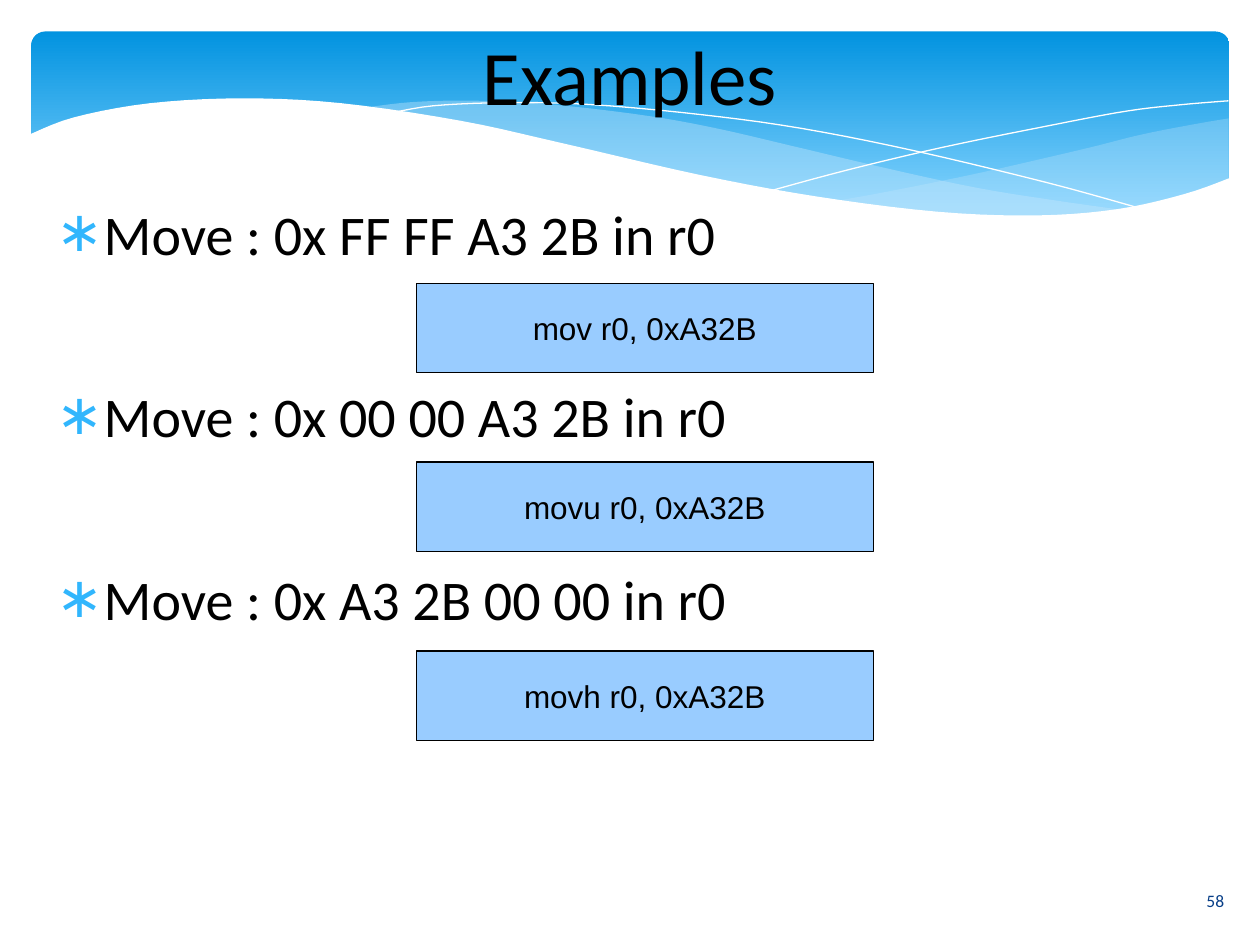
"""Build a slide of three move-instruction examples under a wave banner."""
from lxml.etree import SubElement
from pptx import Presentation
from pptx.dml.color import RGBColor
from pptx.enum.shapes import MSO_SHAPE
from pptx.enum.text import MSO_ANCHOR, PP_ALIGN
from pptx.oxml.ns import qn
from pptx.util import Pt

TITLE = "Examples"
PAGE_NUMBER = "58"
EXAMPLES = [
    ("Move : 0x FF FF A3 2B in r0", "mov r0, 0xA32B", 162),
    ("Move : 0x 00 00 A3 2B in r0", "movu r0, 0xA32B", 264),
    ("Move : 0x A3 2B 00 00 in r0", "movh r0, 0xA32B", 372),
]
RIGHT_WAVE = [
    [(702, 67.7), (682.6, 71), (652, 77), (620, 85), (561, 98.6), (508, 109.4), (476, 115.2)],
    [(476, 115.2), (517.7, 121), (562, 123.8), (593, 123.8), (634, 120.5), (673, 112.3),
     (702, 102.2)],
]
MIDDLE_WAVE = [
    [(643, 120.2), (602.6, 114.5), (558, 107.3), (508, 96.5), (453, 83.5), (409.7, 73.4),
     (370, 66.2), (318, 60), (273.6, 57.6), (236, 58.3), (206, 61.9)],
    [(206, 61.9), (246, 67.7), (291, 76.3), (353.5, 90.7), (407.5, 103), (456.5, 112.3),
     (500.4, 118.8), (547.9, 123.1), (589, 124.6), (623.5, 122.8), (643, 120.2)],
]
FALLING_LINE = [
    [(222.5, 64.8), (247.7, 60.5), (288.7, 58.7), (337.7, 59.8), (400.3, 65.5), (457.9, 73.4),
     (523.4, 86.4), (598.3, 104.4), (653, 119.5)],
]
RISING_LINE = [
    [(441.4, 108.7), (484, 97.2), (538.6, 84.2), (602, 71.3), (644.4, 63.4), (675.4, 59.8),
     (702, 57.6)],
]
WHITE_WAVE = [
    [(16.6, 77), (42.5, 67), (85.7, 59), (139, 56.2), (195, 59), (263, 69), (322, 82),
     (400, 100), (466.6, 112.3), (535.7, 121), (592.6, 123.1), (638.6, 119.5),
     (676.8, 110.9), (703.4, 101.5)],
    [(703.4, 161.3), (16.6, 161.3)],
]
WAVES = [
    (RIGHT_WAVE, {"fill": "C6E7FC", "opacity": 29}),
    (MIDDLE_WAVE, {"fill": "C6E7FC", "opacity": 40}),
    (FALLING_LINE, {"line": "FFFFFF"}),
    (RISING_LINE, {"line": "FFFFFF"}),
    (WHITE_WAVE, {"fill": "FFFFFF"}),
]


def color(value):
    return RGBColor.from_string(value)


def smooth(points, steps=5):
    if len(points) < 3:
        return points
    padded = [points[0], *points, points[-1]]
    curve = [points[0]]
    for before, start, end, after in zip(padded, padded[1:], padded[2:], padded[3:]):
        for step in range(1, steps + 1):
            t = step / steps
            curve.append(tuple(
                0.5 * (2 * b + (c - a) * t + (2 * a - 5 * b + 4 * c - d) * t ** 2
                       + (3 * b - a - 3 * c + d) * t ** 3)
                for a, b, c, d in zip(before, start, end, after)))
    return curve


def paint(shape, fill=None, opacity=100, line=None):
    shape.shadow.inherit = False
    if fill:
        shape.fill.solid()
        shape.fill.fore_color.rgb = color(fill)
        if opacity < 100:
            tint = next(shape.fill._xPr.iter(qn("a:srgbClr")))
            SubElement(tint, qn("a:alpha"), val=str(opacity * 1000))
    else:
        shape.fill.background()
    if line:
        shape.line.color.rgb = color(line)
        shape.line.width = Pt(0)
    else:
        shape.line.fill.background()


def add_wave(page, curves, **look):
    points = [(Pt(x), Pt(y)) for curve in curves for x, y in smooth(curve)]
    builder = page.shapes.build_freeform(*points[0], scale=1.0)
    builder.add_line_segments(points[1:], close="fill" in look)
    paint(builder.convert_to_shape(), **look)


def add_banner(page):
    banner = page.shapes.add_shape(
        MSO_SHAPE.ROUNDED_RECTANGLE, Pt(18), Pt(18), Pt(684.5), Pt(112.3))
    banner.adjustments[0] = 0.07
    paint(banner)
    banner.fill.gradient()
    banner.fill.gradient_angle = 270
    for stop, position, value in zip(banner.fill.gradient_stops, (0, 0.9), ("0293E0", "83D3FE")):
        stop.position = position
        stop.color.rgb = color(value)


def write(box, text, size, font="Calibri", ink="000000", align=PP_ALIGN.CENTER,
          anchor=MSO_ANCHOR.MIDDLE, inset=0, bullet=None, gap=0):
    frame = box.text_frame
    frame.word_wrap = True
    frame.vertical_anchor = anchor
    frame.margin_left = frame.margin_right = Pt(inset)
    frame.margin_top = frame.margin_bottom = Pt(inset / 2)
    lines = [text] if isinstance(text, str) else text
    for index, line in enumerate(lines):
        para = frame.add_paragraph() if index else frame.paragraphs[0]
        para.alignment = align
        para.space_before = Pt(gap if index else 0)
        if bullet:
            properties = para._p.get_or_add_pPr()
            properties.set("marL", str(Pt(33.8)))
            properties.set("indent", str(Pt(-25.2)))
            SubElement(SubElement(properties, qn("a:buClr")), qn("a:srgbClr"), val=bullet)
            SubElement(properties, qn("a:buFont"), typeface=font)
            SubElement(properties, qn("a:buChar"), char="∗")
        span = para.add_run()
        span.text = line
        span.font.size = Pt(size)
        span.font.name = font
        span.font.color.rgb = color(ink)


def add_text(page, place, text, **look):
    write(page.shapes.add_textbox(*map(Pt, place)), text, **look)


def main():
    deck = Presentation()
    deck.slide_width, deck.slide_height = Pt(720), Pt(540)
    page = deck.slides.add_slide(deck.slide_layouts[6])
    add_banner(page)
    for curves, look in WAVES:
        add_wave(page, curves, **look)
    add_text(page, (672.5, 500.4, 44, 28.8), PAGE_NUMBER, size=10, ink="073E87")
    add_text(page, (18, 5.8, 684, 73.4), TITLE, size=44)
    add_text(page, (23.8, 113.8, 678, 356.4), [task for task, _, _ in EXAMPLES], size=32,
             align=PP_ALIGN.LEFT, anchor=MSO_ANCHOR.TOP, bullet="31B6FD", gap=66)
    for _, code, top in EXAMPLES:
        box = page.shapes.add_shape(
            MSO_SHAPE.RECTANGLE, Pt(238), Pt(top), Pt(261), Pt(51))
        paint(box, fill="99CCFF", line="000000")
        write(box, code, size=18, font="Arial", inset=7.2)
    deck.save("out.pptx")


if __name__ == "__main__":
    main()
